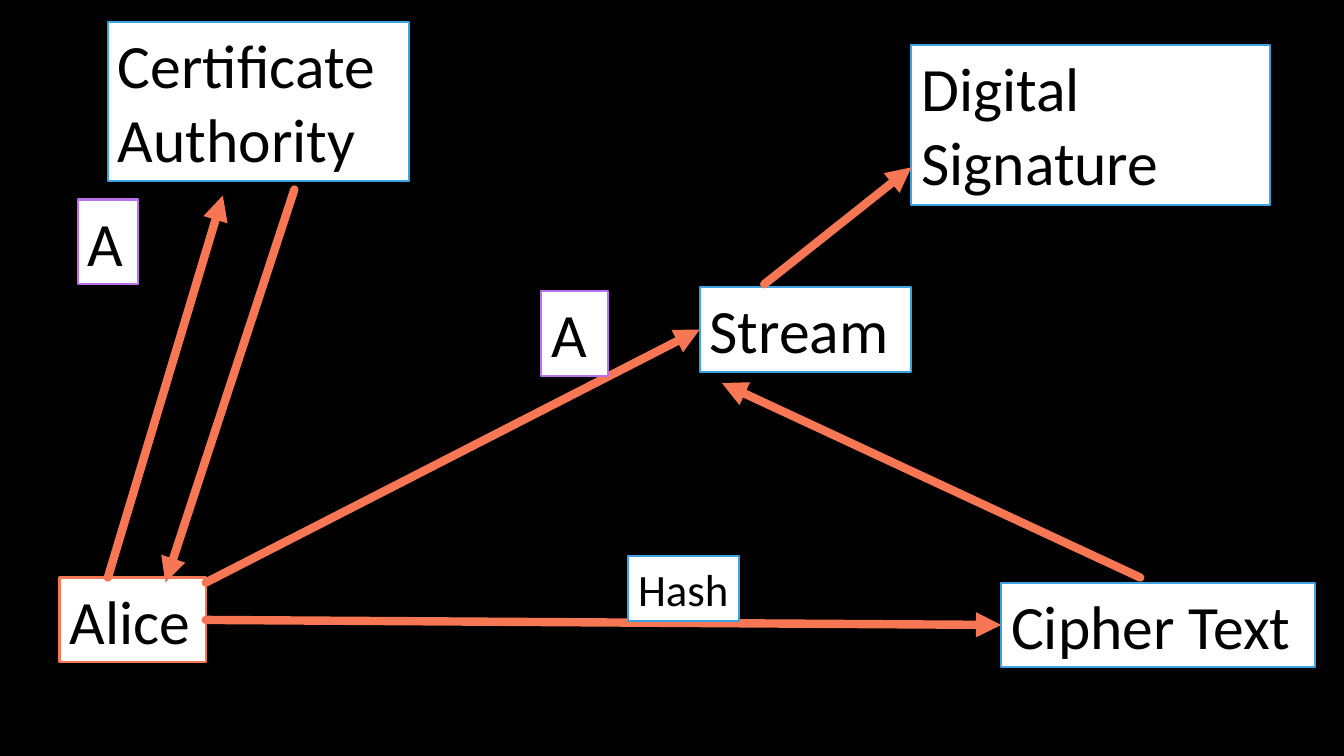
from lxml import etree
from pptx import Presentation
from pptx.dml.color import RGBColor
from pptx.enum.shapes import MSO_CONNECTOR as CONN, MSO_SHAPE as SHAPE
from pptx.enum.text import MSO_ANCHOR as ANCHOR, MSO_AUTO_SIZE as AUTO, PP_ALIGN as ALIGN
from pptx.oxml.ns import qn
from pptx.util import Pt

PX = 9144  # EMU in one px, 100 px to the inch
BLACK, WHITE = "000000", "FFFFFF"
ORANGE, PURPLE, BLUE = "F77754", "BC70EE", "3CA2E2"


def rgb(value):
    return RGBColor.from_string(value)


def emu(*lengths):
    return [n * PX for n in lengths]


class Diagram:
    font = {"name": "Calibri", "bold": False}
    frame = {"word_wrap": True, "auto_size": AUTO.SHAPE_TO_FIT_TEXT,
             "vertical_anchor": ANCHOR.TOP}

    def __init__(self, slide):
        self.s = slide

    def background(self, color):
        fill = self.s.background.fill
        fill.solid()
        fill.fore_color.rgb = rgb(color)

    def box(self, text, left, top, width, height, border=BLUE, size=44):
        sp = self.s.shapes.add_shape(SHAPE.RECTANGLE, *emu(left, top, width, height))
        sp.shadow.inherit = False
        sp.fill.solid()
        sp.fill.fore_color.rgb = rgb(WHITE)
        sp.line.color.rgb = rgb(border)
        sp.line.width = Pt(1.5)
        tf = sp.text_frame
        for key, value in self.frame.items():
            setattr(tf, key, value)
        p = tf.paragraphs[0]
        p.alignment = ALIGN.LEFT
        r = p.add_run()
        r.text = text
        for key, value in {**self.font, "size": Pt(size)}.items():
            setattr(r.font, key, value)
        r.font.color.rgb = rgb(BLACK)

    def arrow(self, x1, y1, x2, y2):
        """Draw a round-capped line with a triangle at (x2, y2)."""
        cn = self.s.shapes.add_connector(CONN.STRAIGHT, *emu(x1, y1, x2, y2))
        cn.line.color.rgb = rgb(ORANGE)
        cn.line.width = Pt(6)
        ln = cn.line._get_or_add_ln()
        ln.set("cap", "rnd")
        etree.SubElement(ln, qn("a:tailEnd"), type="triangle")
        etree.SubElement(cn._element.spPr, qn("a:effectLst"))


def main():
    prs = Presentation()
    prs.slide_width, prs.slide_height = emu(1333, 750)
    d = Diagram(prs.slides.add_slide(prs.slide_layouts[6]))
    d.background(BLACK)

    d.box("Alice", 59, 573, 145, 84, ORANGE)
    d.arrow(107, 573, 221, 194)
    d.box("A", 77, 198, 60, 84, PURPLE)
    d.box("Certificate Authority", 107, 22, 299, 158)
    d.arrow(292, 188, 164, 578)

    d.arrow(204, 615, 993, 620)
    d.box("Cipher Text", 993, 578, 311, 84)
    d.box("Hash", 623, 552, 110, 64, size=32)

    d.arrow(1131, 573, 716, 380)
    d.box("Stream", 694, 285, 210, 84)
    d.arrow(204, 578, 694, 327)
    d.box("A", 537, 289, 66, 84, PURPLE)

    d.box("Digital Signature", 904, 45, 356, 158)
    d.arrow(758, 282, 904, 166)

    prs.save("out.pptx")


if __name__ == "__main__":
    main()
